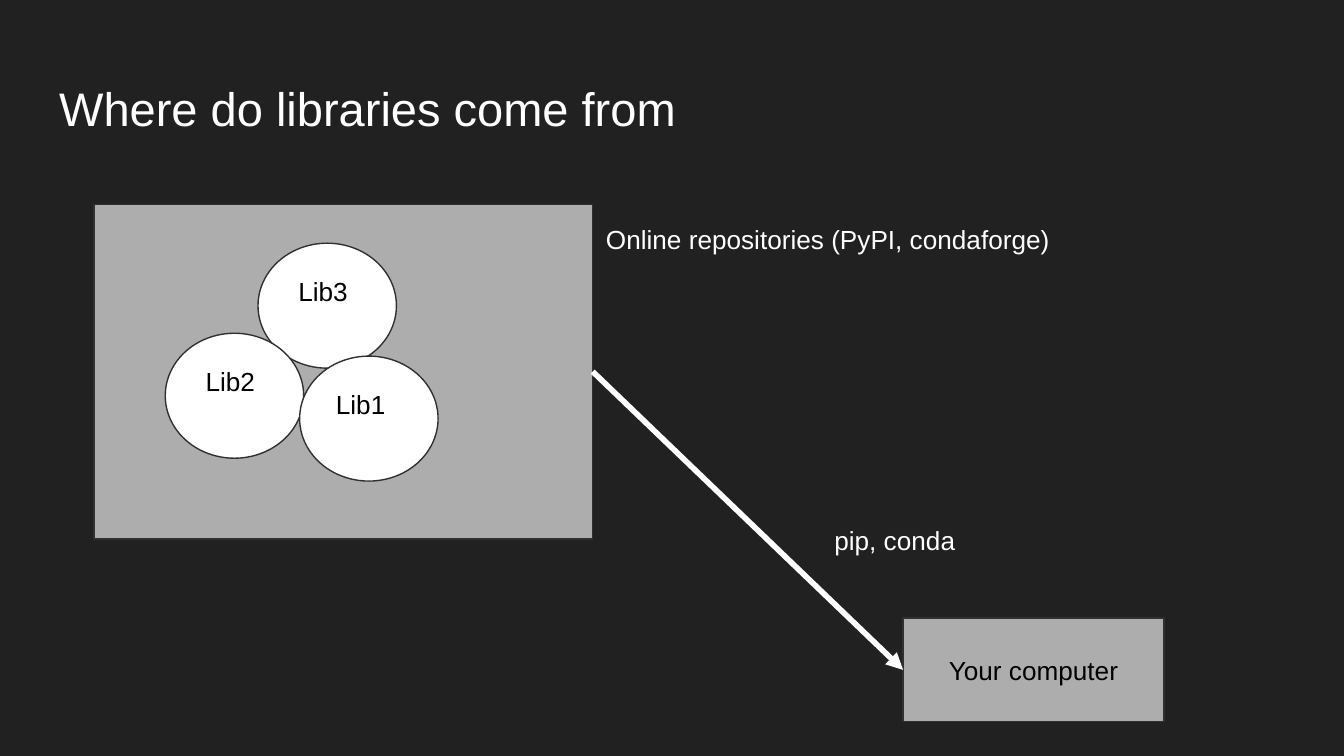
from pptx import Presentation
from pptx.dml.color import RGBColor
from pptx.enum.shapes import MSO_CONNECTOR, MSO_SHAPE
from pptx.enum.text import MSO_ANCHOR, PP_ALIGN
from pptx.oxml.ns import qn
from pptx.util import Inches, Pt
from lxml.etree import SubElement

DARK = RGBColor(0x21, 0x21, 0x21)
GREY = RGBColor(0xAD, 0xAD, 0xAD)
OUTLINE = RGBColor(0x30, 0x30, 0x30)
WHITE = RGBColor(0xFF, 0xFF, 0xFF)
BLACK = RGBColor(0, 0, 0)

# Content: boxes are left, top, width, height in inches
TITLE = ("Where do libraries come from", (0.34, 0.49, 9.32, 0.63))
REPOSITORY = (0.7, 1.52, 3.71, 2.49)
COMPUTER = ("Your computer", (6.72, 4.6, 1.94, 0.77))
LIB_SIZE = (1.03, 0.93)
LIBRARIES = [  # name, left, top, right inset
    ("Lib3", 1.92, 1.81, 0.16),
    ("Lib2", 1.23, 2.48, 0.16),
    ("Lib1", 2.23, 2.65, 0.22),
]
LABELS = [
    ("Online repositories (PyPI, condaforge)", (4.41, 1.56, 4.62, 0.54)),
    ("pip, conda", (6.11, 3.8, 1.3, 0.54)),
]


def write(shape, text, color, size=14, align=PP_ALIGN.LEFT,
          anchor=MSO_ANCHOR.TOP, right=0.1, bottom=0.1):
    tf = shape.text_frame
    frame = {"word_wrap": True, "vertical_anchor": anchor,
             "margin_left": Inches(0.1), "margin_top": Inches(0.1),
             "margin_right": Inches(right), "margin_bottom": Inches(bottom)}
    for name, value in frame.items():
        setattr(tf, name, value)
    p = tf.paragraphs[0]
    p.alignment = align
    r = p.add_run()
    r.text = text
    for name, value in {"name": "Arial", "size": Pt(size)}.items():
        setattr(r.font, name, value)
    r.font.color.rgb = color


def add_block(s, kind, box, fill, text=None, **insets):
    sp = s.shapes.add_shape(kind, *map(Inches, box))
    sp.shadow.inherit = False
    sp.fill.solid()
    sp.fill.fore_color.rgb = fill
    sp.line.color.rgb = OUTLINE
    sp.line.width = Pt(0.75)
    if text:
        write(sp, text, BLACK, align=PP_ALIGN.CENTER,
              anchor=MSO_ANCHOR.MIDDLE, **insets)
    return sp


# Widescreen 16:9 slide
prs = Presentation()
prs.slide_width = Inches(10)
prs.slide_height = prs.slide_width * 9 // 16
s = prs.slides.add_slide(prs.slide_layouts[5])
s.background.fill.solid()
s.background.fill.fore_color.rgb = DARK

# Title
text, box = TITLE
title = s.shapes.title
for name, value in zip(("left", "top", "width", "height"), box):
    setattr(title, name, Inches(value))
write(title, text, WHITE, size=25.2)

# Repository with its libraries; names sit a little above the centre
repository = add_block(s, MSO_SHAPE.RECTANGLE, REPOSITORY, GREY)
for text, left, top, right in LIBRARIES:
    add_block(s, MSO_SHAPE.OVAL, (left, top, *LIB_SIZE), WHITE, text,
              right=right, bottom=0.32)

# Computer
text, box = COMPUTER
computer = add_block(s, MSO_SHAPE.RECTANGLE, box, GREY, text)

# Arrow from repository to computer
arrow = s.shapes.add_connector(MSO_CONNECTOR.STRAIGHT, 0, 0, 0, 0)
arrow.begin_connect(repository, 3)
arrow.end_connect(computer, 1)
arrow.line.color.rgb = WHITE
arrow.line.width = Pt(3)
SubElement(arrow.line._get_or_add_ln(), qn("a:tailEnd"), type="triangle")
SubElement(arrow._element.spPr, qn("a:effectLst"))

# Labels
for text, box in LABELS:
    write(s.shapes.add_textbox(*map(Inches, box)), text, WHITE)

prs.save("out.pptx")
